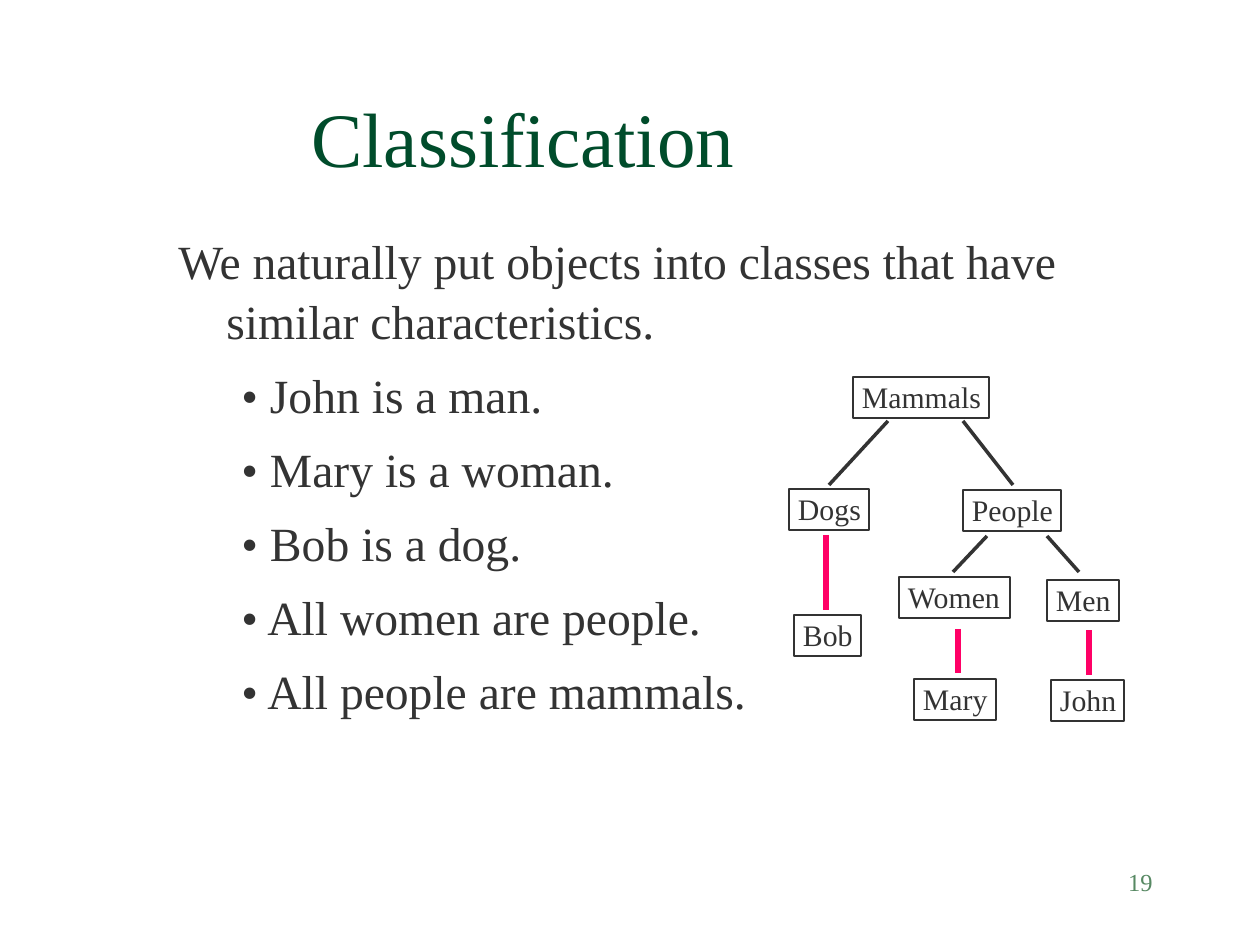
import pptx
import pptx.dml.color
import pptx.enum.shapes
import pptx.enum.text
import pptx.util
import lxml.etree

EMU_PER_PX = 914400 / 126
COLORS = {
    "title": "004C2B",
    "text": "333333",
    "instance": "FF0066",
    "number": "578963",
}
ALIGN = pptx.enum.text.PP_ALIGN
ANCHOR = pptx.enum.text.MSO_ANCHOR


def px(length):
    return pptx.util.Emu(round(length * EMU_PER_PX))


def rgb(name):
    return pptx.dml.color.RGBColor.from_string(COLORS[name])


def apply(target, values):
    for name, value in values.items():
        setattr(target, name, value)


class SlideBuilder:
    font_name = "Times New Roman"

    def __init__(self, presentation):
        self.slide = presentation.slides.add_slide(presentation.slide_layouts[6])

    def fill_frame(self, shape, lines, size, color, frame_format, paragraph_format):
        frame = shape.text_frame
        apply(frame, {"word_wrap": True, **frame_format})
        for index, (text, margin, indent) in enumerate(lines):
            paragraph = frame.add_paragraph() if index else frame.paragraphs[0]
            paragraph.text = text
            apply(paragraph, {"alignment": ALIGN.LEFT, **paragraph_format})
            if index == 0:
                paragraph.space_before = pptx.util.Pt(0)
            if margin:
                properties = paragraph._p.get_or_add_pPr()
                properties.set("marL", str(px(margin)))
                properties.set("indent", str(px(indent)))
            apply(paragraph.font, {"name": self.font_name, "size": pptx.util.Pt(size)})
            paragraph.font.color.rgb = rgb(color)

    def text(self, box, lines, size, color, frame_format=None, paragraph_format=None):
        shape = self.slide.shapes.add_textbox(*map(px, box))
        self.fill_frame(shape, lines, size, color, frame_format or {}, paragraph_format or {})

    def node(self, label, left, top, width):
        shape = self.slide.shapes.add_shape(
            pptx.enum.shapes.MSO_SHAPE.RECTANGLE, *map(px, (left, top, width, 41))
        )
        shape.shadow.inherit = False
        shape.fill.background()
        shape.line.color.rgb = rgb("text")
        shape.line.width = pptx.util.Pt(1)
        frame_format = {
            "margin_left": px(9),
            "margin_right": 0,
            "margin_top": px(4),
            "margin_bottom": px(4),
            "vertical_anchor": ANCHOR.TOP,
        }
        self.fill_frame(shape, [(label, 0, 0)], 17, "text", frame_format, {"line_spacing": 0.97})

    def line(self, start, end, color, width):
        connector = self.slide.shapes.add_connector(
            pptx.enum.shapes.MSO_CONNECTOR.STRAIGHT, *map(px, start + end)
        )
        connector.line.color.rgb = rgb(color)
        connector.line.width = pptx.util.Pt(width)
        lxml.etree.SubElement(
            connector._element.spPr, pptx.oxml.ns.qn("a:effectLst")
        )


def main():
    presentation = pptx.Presentation()
    apply(presentation, {"slide_width": px(1260), "slide_height": px(945)})
    builder = SlideBuilder(presentation)

    builder.text((903, 861, 262, 63), [("19", 0, 0)], 14, "number",
                 paragraph_format={"alignment": ALIGN.RIGHT})
    builder.text((299, 100, 505, 89), [("Classification", 0, 0)], 44, "title",
                 {"vertical_anchor": ANCHOR.BOTTOM})

    statement = "We naturally put objects into classes that have similar characteristics."
    facts = [
        "• John is a man.",
        "• Mary is a woman.",
        "• Bob is a dog.",
        "• All women are people.",
        "• All people are mammals.",
    ]
    lines = [(statement, 48, -48)] + [(fact, 102, -39) for fact in facts]
    builder.text((166, 223, 951, 469), lines, 27.2, "text",
                 paragraph_format={"space_before": pptx.util.Pt(8), "line_spacing": 1.05})

    nodes = [
        ("Mammals", 853, 377, 136),
        ("Dogs", 789, 489, 80),
        ("People", 963, 490, 98),
        ("Women", 899, 577, 111),
        ("Men", 1047, 580, 72),
        ("Bob", 794, 615, 67),
        ("Mary", 914, 679, 82),
        ("John", 1051, 680, 73),
    ]
    for node in nodes:
        builder.node(*node)

    subclass_lines = [
        ((888, 421), (829, 485)),
        ((963, 421), (1013, 485)),
        ((987, 536), (953, 572)),
        ((1047, 536), (1079, 572)),
    ]
    for start, end in subclass_lines:
        builder.line(start, end, "text", 2)

    instance_lines = [(826, 535, 610), (958, 629, 673), (1089, 630, 675)]
    for x, top, bottom in instance_lines:
        builder.line((x, top), (x, bottom), "instance", 3)

    presentation.save("out.pptx")


if __name__ == "__main__":
    main()
